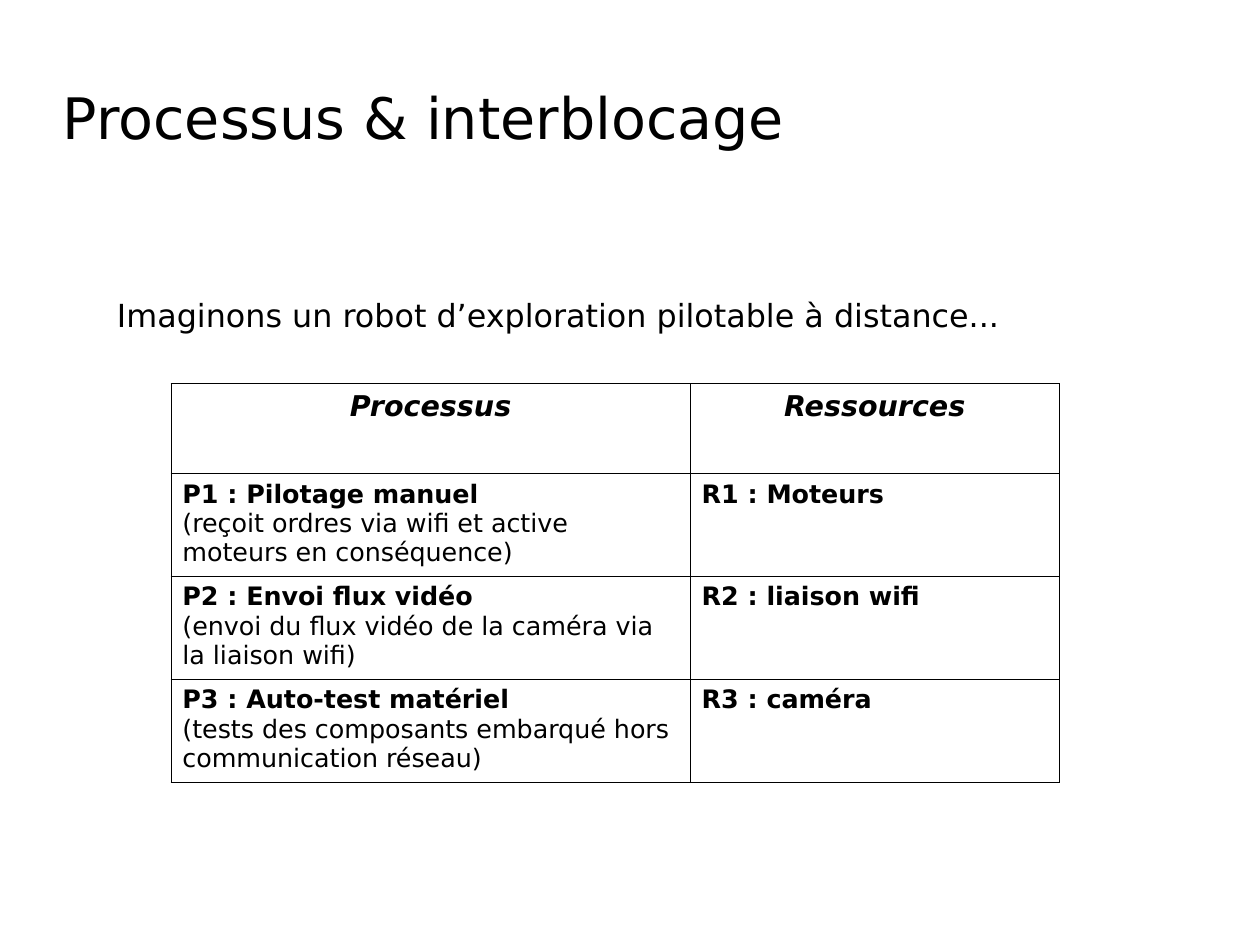
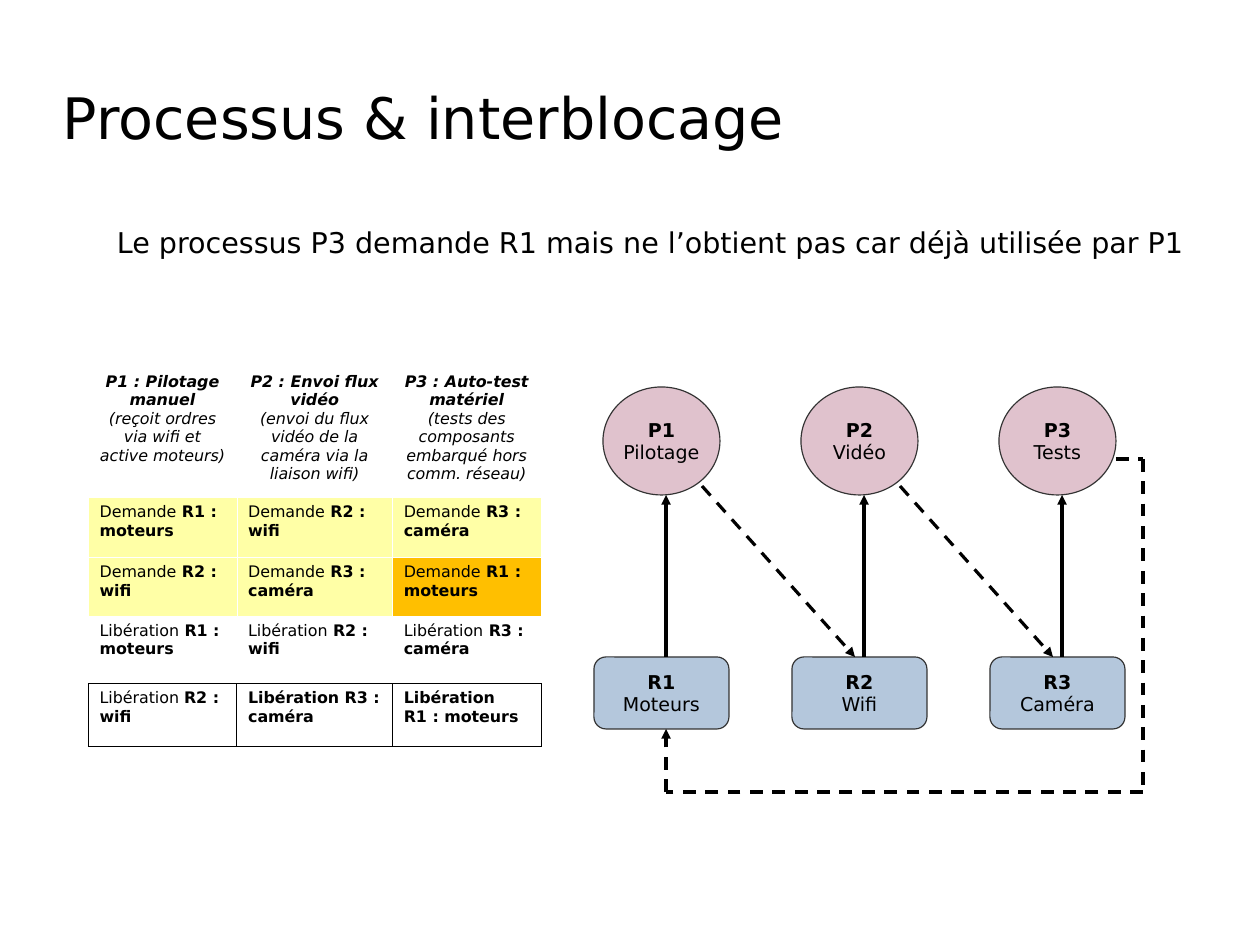
from dataclasses import dataclass
from itertools import pairwise

from lxml import etree
from pptx import Presentation
from pptx import util as u
from pptx.dml.color import RGBColor
from pptx.enum import dml, shapes, text
from pptx.oxml.ns import qn


@dataclass(frozen=True)
class Theme:
    font: str = "DejaVu Sans"
    ink: str = "000000"
    paper: str = "FFFFFF"
    outline: str = "333333"
    process: str = "E0C2CD"
    resource: str = "B4C7DC"
    done: str = "FFFFA6"
    blocked: str = "FFBF00"
    title_size: int = 36
    intro_size: int = 20
    heading_size: int = 18
    table_size: int = 16
    node_size: int = 12
    small_size: int = 10
    hairline: float = 0
    invisible: float = 0.06
    rule: float = 0.57


THEME = Theme()
CENTER = text.PP_ALIGN.CENTER
LEFT = text.PP_ALIGN.LEFT

NODE_PITCH = 4.4
NODE_CENTER = 14.7
PROCESS_TOP, PROCESS_WIDTH, PROCESS_HEIGHT = 8.6, 2.6, 2.4
RESOURCE_TOP, RESOURCE_WIDTH, RESOURCE_HEIGHT = 14.6, 3.0, 1.6
ARROW_SHIFT = 0.1

ROBOT_TABLE = [
    [["**Processus**"], ["**Ressources**"]],
    [["**P1 : Pilotage manuel**",
      "(reçoit ordres via wifi et active moteurs en conséquence)"],
     ["**R1 : Moteurs**"]],
    [["**P2 : Envoi flux vidéo**",
      "(envoi du flux vidéo de la caméra via la liaison wifi)"],
     ["**R2 : liaison wifi**"]],
    [["**P3 : Auto-test matériel**",
      "(tests des composants embarqué hors communication réseau)"],
     ["**R3 : caméra**"]],
]

SCHEDULE_TABLE = [
    [["**P1 : Pilotage manuel**", "(reçoit ordres via wifi et active moteurs)"],
     ["**P2 : Envoi flux vidéo**",
      "(envoi du flux vidéo de la caméra via la liaison wifi)"],
     ["**P3 : Auto-test matériel**",
      "(tests des composants embarqué hors comm. réseau)"]],
    [["Demande** R1 : moteurs**"], ["Demande** R2 : wifi**"],
     ["Demande** R3 : caméra**"]],
    [["Demande** R2 : wifi**"], ["Demande** R3 : caméra**"],
     ["Demande** R1 : moteurs**"]],
    [["Libération** R1 : moteurs**"], ["Libération** R2 : wifi**"],
     ["Libération** R3 : caméra**"]],
    [["Libération **R2 : wifi**"], ["**Libération R3 : caméra**"],
     ["**Libération R1 : moteurs**"]],
]

NODES = [("P1", "Pilotage", "R1", "Moteurs"),
         ("P2", "Vidéo", "R2", "Wifi"),
         ("P3", "Tests", "R3", "Caméra")]


def color(value):
    return RGBColor.from_string(value)


def write(frame, lines, size, align=LEFT, italic=False):
    """Fill a text frame, one paragraph a line; **...** marks bold."""
    for index, line in enumerate(lines):
        paragraph = frame.paragraphs[0] if index == 0 else frame.add_paragraph()
        paragraph.alignment = align
        font = paragraph.font
        font.name, font.size, font.italic = THEME.font, u.Pt(size), italic
        font.color.rgb = color(THEME.ink)
        pieces = [(piece, position % 2 == 1)
                  for position, piece in enumerate(line.split("**")) if piece]
        for piece, bold in pieces:
            run = paragraph.add_run()
            run.text = piece
            if len(pieces) > 1:
                run.font.bold = bold
        if len(pieces) == 1:
            font.bold = pieces[0][1]


def add_label(slide, left, top, width, height, line, size,
              anchor=text.MSO_ANCHOR.TOP):
    box = slide.shapes.add_textbox(u.Cm(left), u.Cm(top), u.Cm(width), u.Cm(height))
    frame = box.text_frame
    frame.word_wrap = True
    frame.vertical_anchor = anchor
    frame.margin_left = frame.margin_right = 0
    frame.margin_top = frame.margin_bottom = 0
    write(frame, [line], size)


def add_titled_slide(presentation, intro, intro_top, intro_size):
    slide = presentation.slides.add_slide(presentation.slide_layouts[6])
    add_label(slide, 1.4, 1.6, 20, 2, "Processus & interblocage",
              THEME.title_size, text.MSO_ANCHOR.MIDDLE)
    add_label(slide, 2.6, intro_top, 24, 1.2, intro, intro_size)
    return slide


def set_borders(cell, line, bottom_line):
    """Draw the four edges; each line is a (colour, points) pair."""
    properties = cell._tc.get_or_add_tcPr()
    edges = {"a:lnL": line, "a:lnR": line, "a:lnT": line, "a:lnB": bottom_line}
    for tag, (line_color, width) in edges.items():
        edge = etree.SubElement(properties, qn(tag), w=str(int(u.Pt(width))))
        fill = etree.SubElement(edge, qn("a:solidFill"))
        etree.SubElement(fill, qn("a:srgbClr"), val=line_color)


def add_grid(slide, left, top, widths, heights, rows, sizes, row_lines,
             fills=None, italic_header=True):
    """Add a table; sizes and row_lines hold one entry a row, fills one a cell."""
    frame = slide.shapes.add_table(
        len(rows), len(widths), u.Cm(left), u.Cm(top),
        u.Cm(sum(widths)), u.Cm(sum(heights)))
    table = frame.table
    table.first_row = table.horz_banding = False
    for column, width in zip(table.columns, widths):
        column.width = u.Cm(width)
    for index, (row, lines) in enumerate(zip(table.rows, rows)):
        row.height = u.Cm(heights[index])
        header = index == 0
        next_line = row_lines[min(index + 1, len(rows) - 1)]
        for position, (cell, content) in enumerate(zip(row.cells, lines)):
            set_borders(cell, row_lines[index], next_line)
            fill = (fills or {}).get((index, position))
            if fill:
                cell.fill.solid()
                cell.fill.fore_color.rgb = color(fill)
            else:
                cell.fill.background()
            write(cell.text_frame, content, sizes[index],
                  CENTER if header else LEFT, header and italic_header)


def add_node(slide, kind, center, top, width, height, fill, name, role):
    shape = slide.shapes.add_shape(
        kind, u.Cm(center - width / 2), u.Cm(top), u.Cm(width), u.Cm(height))
    shape.shadow.inherit = False
    shape.fill.solid()
    shape.fill.fore_color.rgb = color(fill)
    shape.line.color.rgb = color(THEME.outline)
    shape.line.width = u.Pt(THEME.hairline)
    shape.text_frame.word_wrap = False
    shape.text_frame.vertical_anchor = text.MSO_ANCHOR.MIDDLE
    write(shape.text_frame, [f"**{name}**", role], THEME.node_size, CENTER)


def add_line(slide, start, end, dashed=False, arrow=True):
    connector = slide.shapes.add_connector(
        shapes.MSO_CONNECTOR.STRAIGHT, *(u.Cm(value) for value in (*start, *end)))
    connector.line.color.rgb = color(THEME.ink)
    connector.line.width = u.Pt(THEME.hairline)
    if dashed:
        connector.line.dash_style = dml.MSO_LINE.DASH
    properties = connector.element.spPr
    if arrow:
        etree.SubElement(properties.find(qn("a:ln")), qn("a:tailEnd"), type="triangle")
    etree.SubElement(properties, qn("a:effectLst"))


def add_allocation_graph(slide):
    centers = [NODE_CENTER + NODE_PITCH * index for index in range(len(NODES))]
    process_bottom = PROCESS_TOP + PROCESS_HEIGHT
    for center, (process, task, resource, device) in zip(centers, NODES):
        add_node(slide, shapes.MSO_SHAPE.ROUNDED_RECTANGLE, center, RESOURCE_TOP,
                 RESOURCE_WIDTH, RESOURCE_HEIGHT, THEME.resource, resource, device)
        add_node(slide, shapes.MSO_SHAPE.OVAL, center, PROCESS_TOP,
                 PROCESS_WIDTH, PROCESS_HEIGHT, THEME.process, process, task)
        held = center + ARROW_SHIFT
        add_line(slide, (held, RESOURCE_TOP), (held, process_bottom))
    for center, next_center in pairwise(centers):
        add_line(slide, (center + 0.9, process_bottom - 0.2),
                 (next_center - ARROW_SHIFT, RESOURCE_TOP), dashed=True)

    blocked_x = centers[0] + ARROW_SHIFT
    loop = [(centers[-1] + PROCESS_WIDTH / 2, 10.2), (25.4, 10.2), (25.4, 17.6),
            (blocked_x, 17.6), (blocked_x, RESOURCE_TOP + RESOURCE_HEIGHT)]
    for start, end in pairwise(loop):
        add_line(slide, start, end, dashed=True, arrow=end == loop[-1])


def main():
    presentation = Presentation()
    presentation.slide_width, presentation.slide_height = u.Cm(28), u.Cm(21)
    ruled = (THEME.ink, THEME.rule)
    unruled = (THEME.paper, THEME.invisible)

    slide = add_titled_slide(
        presentation, "Imaginons un robot d’exploration pilotable à distance...",
        6.57, THEME.intro_size)
    add_grid(slide, 3.8, 8.53, [11.54, 8.2], [2] + [2.21] * 3, ROBOT_TABLE,
             [THEME.heading_size] + [THEME.table_size] * 3, [ruled] * 4)

    slide = add_titled_slide(
        presentation,
        "Le processus P3 demande R1 mais ne l’obtient pas car déjà utilisée par P1",
        5, THEME.heading_size)
    fills = {(row, column): THEME.done for row in (1, 2) for column in range(3)}
    fills[2, 2] = THEME.blocked
    add_grid(slide, 1.96, 8.15, [3.3, 3.46, 3.3], [2.9, 1.34, 1.3, 1.5, 1.4],
             SCHEDULE_TABLE, [THEME.small_size] * 5, [unruled] * 4 + [ruled], fills)
    # The header descriptions stay italic along with the process names.
    add_allocation_graph(slide)

    presentation.save("out.pptx")


if __name__ == "__main__":
    main()
